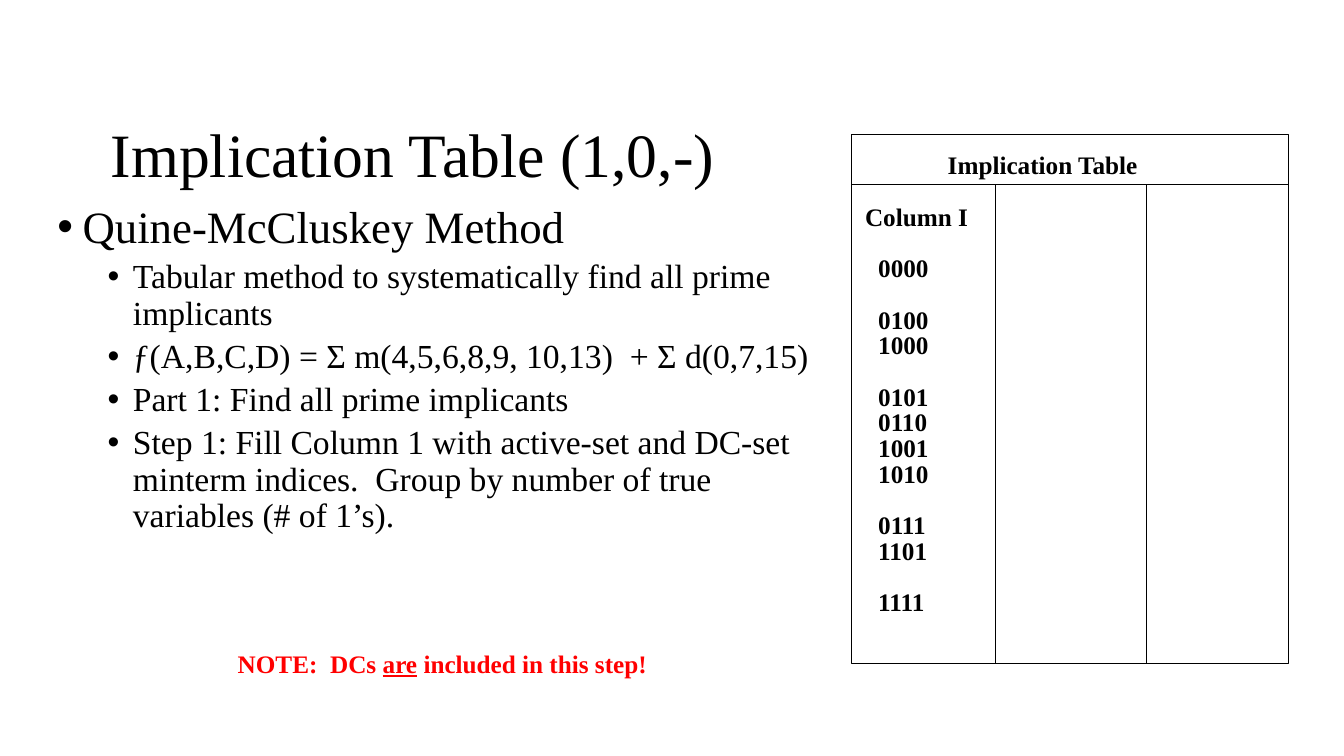
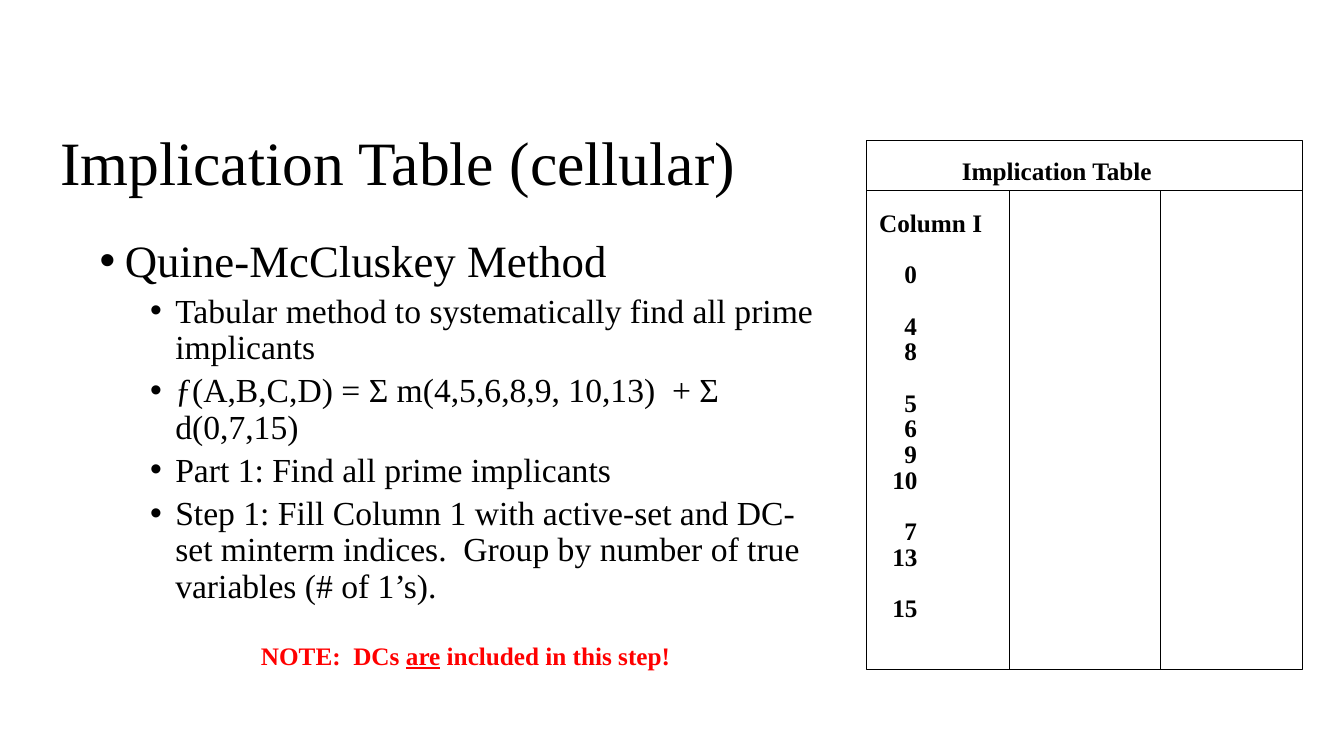
"""Build two slides on the Quine-McCluskey implication table."""
from dataclasses import dataclass

from lxml import etree
from pptx import Presentation
from pptx import util as u
from pptx.dml.color import RGBColor
from pptx.enum import shapes, text
from pptx.oxml.ns import qn

PX = 9144
FONT = "Times New Roman"
COLORS = {"ink": "000000", "note": "FF0000"}
TABLE_W, TABLE_H, HEADER_H = 433, 525, 50
DIVIDERS = (142, 292)
TITLE_INDENT, HEADING_INDENT, CODE_INDENT, DIGIT_W = 88, 6, 19, 12
BLANK_LINE = 18.36

METHOD = "Quine-McCluskey Method"
STEPS = (
    "Tabular method to systematically find all prime implicants",
    "ƒ(A,B,C,D) = Σ m(4,5,6,8,9, 10,13)  + Σ d(0,7,15)",
    "Part 1: Find all prime implicants",
    "Step 1: Fill Column 1 with active-set and DC-set minterm indices.  "
    "Group by number of true variables (# of 1’s).",
)


@dataclass(frozen=True)
class Box:
    """Position and size in px."""
    x: int
    y: int
    w: int
    h: int


@dataclass(frozen=True)
class Page:
    """Text and places that differ between the slides."""
    title: str
    title_box: Box
    body_box: Box
    table_x: int
    table_y: int
    note_box: Box
    groups: tuple[tuple[str, ...], ...]


PAGES = (
    Page("Implication Table (1,0,-)", Box(100, 115, 1135, 83),
         Box(47, 198, 789, 460), 845, 133, Box(226, 638, 433, 40),
         (("0000",), ("0100", "1000"), ("0101", "0110", "1001", "1010"),
          ("0111", "1101"), ("1111",))),
    Page("Implication Table (cellular)", Box(50, 123, 1233, 83),
         Box(89, 232, 739, 426), 859, 139, Box(249, 630, 433, 40),
         (("0",), ("4", "8"), ("5", "6", "9", "10"), ("7", "13"), ("15",))),
)


def px(n: int) -> int:
    """Turn px into EMU."""
    return u.Emu(n * PX)


def add_box(parent, box: Box):
    """Add a wrapping text box and return its text frame."""
    sp = parent.add_textbox(px(box.x), px(box.y), px(box.w), px(box.h))
    sp.text_frame.word_wrap = True
    return sp.text_frame


def add_paragraph(tf, spacing: float = 1, before: float = 0,
                  indent: int = 0, hanging: int = 0):
    """Start a paragraph, reusing the empty first one of the frame."""
    first = not tf.paragraphs[0].runs
    p = tf.paragraphs[0] if first else tf.add_paragraph()
    p.line_spacing = spacing
    p.space_before = u.Pt(0 if first else before)
    p_pr = p._p.get_or_add_pPr()
    p_pr.set("marL", str(px(indent)))
    p_pr.set("indent", str(px(-hanging)))
    if hanging:
        etree.SubElement(p_pr, qn("a:buFont"), typeface="Arial")
        etree.SubElement(p_pr, qn("a:buChar"), char="•")
    return p


def add_run(p, words: str, size: int, color: str = "ink",
            bold: bool = False, underline: bool = False) -> None:
    """Add one formatted run."""
    r = p.add_run()
    r.text = words
    r.font.name = FONT
    r.font.size = u.Pt(size)
    r.font.bold = bold
    r.font.underline = underline
    r.font.color.rgb = RGBColor.from_string(COLORS[color])


def set_line(sp) -> None:
    """Give a shape or connector the thin table rule."""
    sp.line.color.rgb = RGBColor.from_string(COLORS["ink"])
    sp.line.width = u.Pt(0.75)


def add_rule(parent, x1: int, y1: int, x2: int, y2: int) -> None:
    """Draw a straight table rule."""
    cx = parent.add_connector(shapes.MSO_CONNECTOR.STRAIGHT,
                              px(x1), px(y1), px(x2), px(y2))
    set_line(cx)
    etree.SubElement(cx._element.spPr, qn("a:effectLst"))


def add_title(s, page: Page) -> None:
    """Add the slide title."""
    tf = add_box(s.shapes, page.title_box)
    tf.vertical_anchor = text.MSO_ANCHOR.MIDDLE
    add_run(add_paragraph(tf, 0.9), page.title, 44)


def add_body(s, page: Page) -> None:
    """Add the method and its bulleted steps."""
    tf = add_box(s.shapes, page.body_box)
    add_run(add_paragraph(tf, 0.9, indent=25, hanging=25), METHOD, 32)
    for step in STEPS:
        add_run(add_paragraph(tf, 0.9, 5, indent=75, hanging=25), step, 24)


def add_implication_table(s, page: Page) -> None:
    """Draw the framed table with its first column filled in."""
    parent = s.shapes.add_group_shape().shapes
    x, y = page.table_x, page.table_y
    right, bottom, header = x + TABLE_W, y + TABLE_H, y + HEADER_H

    tf = add_box(parent, Box(x, y + 17, 293, 495))
    tf.margin_left = tf.margin_right = px(7)
    tf.margin_top = tf.margin_bottom = px(3)
    digits = max(len(code) for group in page.groups for code in group)
    rows = [("Implication Table", TITLE_INDENT, 0),
            ("Column I", HEADING_INDENT, BLANK_LINE)]
    for group in page.groups:
        for i, code in enumerate(group):
            indent = CODE_INDENT + DIGIT_W * (digits - len(code))
            rows.append((code, indent, 0 if i else BLANK_LINE))
    for words, indent, before in rows:
        add_run(add_paragraph(tf, 0.85, before, indent), words, 18, bold=True)

    frame = parent.add_shape(shapes.MSO_SHAPE.RECTANGLE,
                             px(x), px(y), px(TABLE_W), px(TABLE_H))
    frame.shadow.inherit = False
    frame.fill.background()
    set_line(frame)
    add_rule(parent, x, header, right, header)
    for dx in DIVIDERS:
        add_rule(parent, x + dx, header, x + dx, bottom)


def add_note(s, page: Page) -> None:
    """Add the red note with its underlined word."""
    p = add_paragraph(add_box(s.shapes, page.note_box))
    for words, underline in (("NOTE:  DCs ", False), ("are", True),
                             (" included in this step!", False)):
        add_run(p, words, 18, "note", True, underline)


def main() -> None:
    """Build and save the presentation."""
    prs = Presentation()
    prs.slide_width, prs.slide_height = px(1333), px(750)
    for page in PAGES:
        s = prs.slides.add_slide(prs.slide_layouts[6])
        for draw in (add_title, add_body, add_implication_table, add_note):
            draw(s, page)
    prs.save("out.pptx")


if __name__ == "__main__":
    main()
